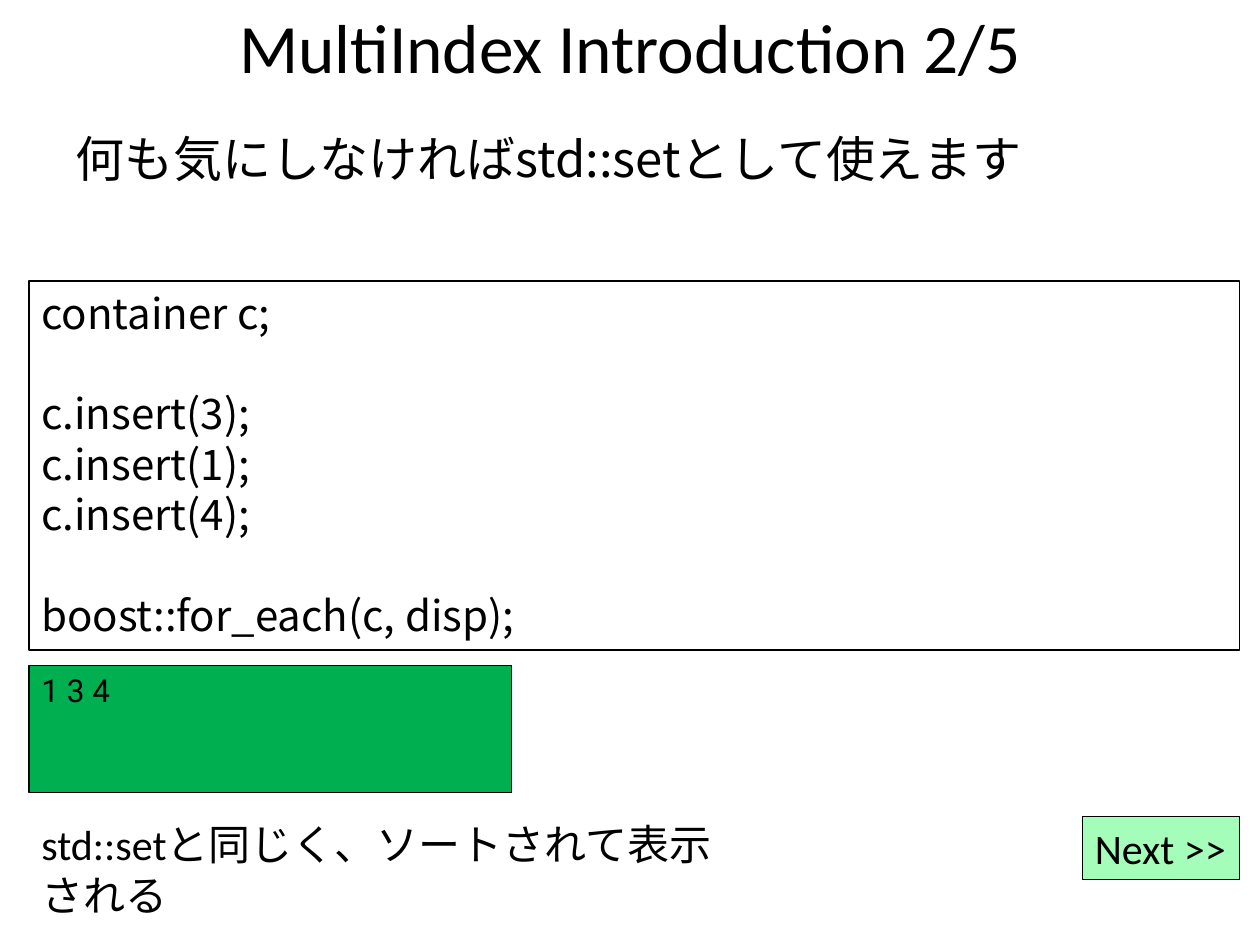
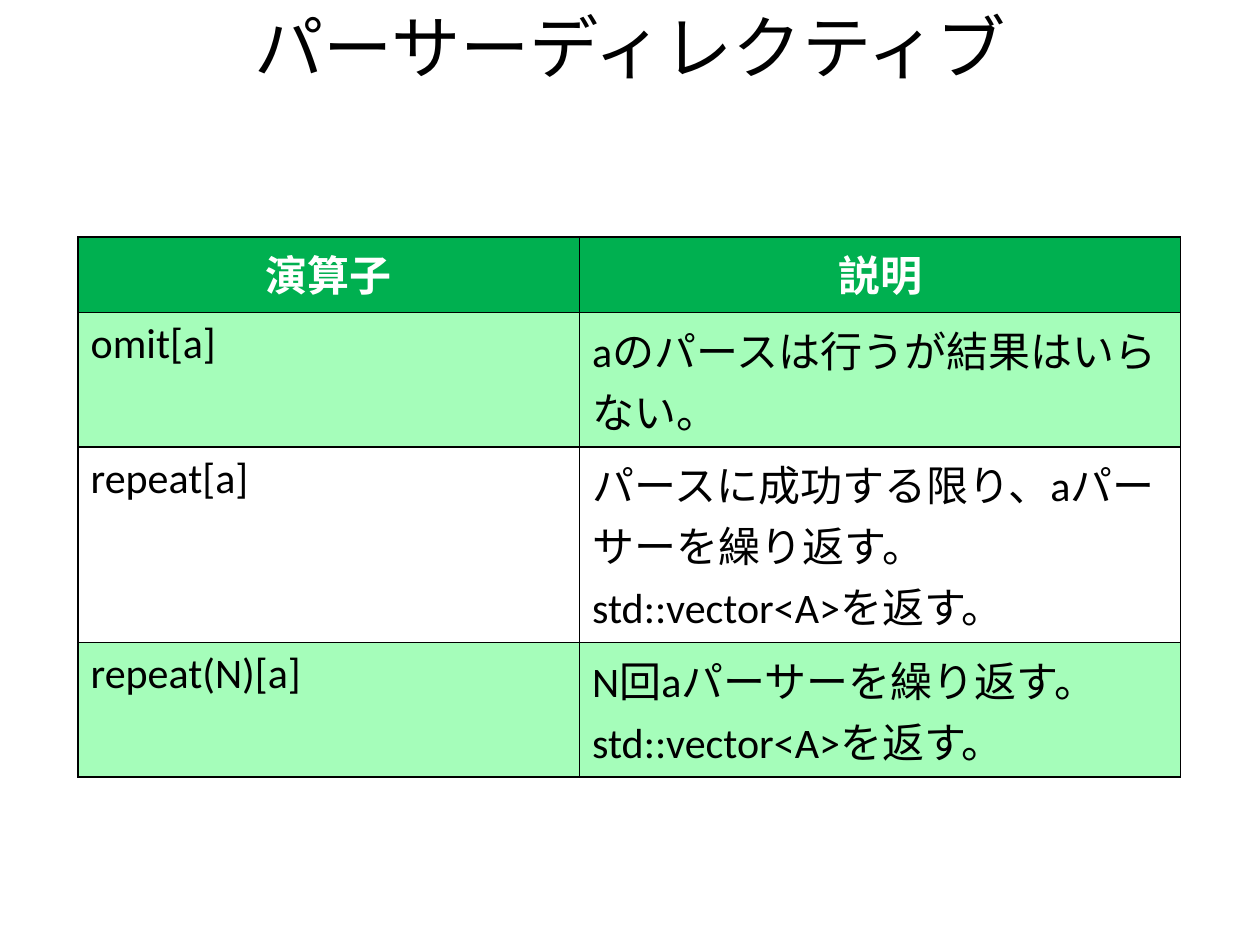
from dataclasses import dataclass

from lxml.etree import SubElement
from pptx import Presentation
from pptx.dml.color import RGBColor as Color
from pptx.enum.shapes import MSO_SHAPE as Shape
from pptx.enum.text import MSO_ANCHOR as Anchor, MSO_AUTO_SIZE as Fit, PP_ALIGN as Align
from pptx.oxml.ns import qn
from pptx.util import Inches, Pt


@dataclass(frozen=True)
class Theme:
    ink: Color = Color(0, 0, 0)
    paper: Color = Color(255, 255, 255)
    green: Color = Color(0x00, 0xB0, 0x50)
    mint: Color = Color(0xA5, 0xFD, 0xBA)
    latin: str = "Calibri"
    japanese: str = "Noto Sans CJK JP"
    output: str = "Roboto"
    title: float = 39.6
    lead: float = 28
    text: float = 24
    small: float = 18
    tight: float = 28.8
    outline: float = 0.75
    border: float = 1


THEME = Theme()
WIDTH, HEIGHT = Inches(10), Inches(7.5)
COLUMNS, ROWS = 100, 75
LEFT_EDGE = 2.3
RIGHT_EDGE = 98.4

CODE = [
    ["container c;"],
    ["c.insert(3);", "c.insert(1);", "c.insert(4);"],
    ["boost::for_each(c, disp);"],
]
DIRECTIVES = [
    ("演算子", "説明"),
    ("omit[a]", "aのパースは行うが結果はいらない。"),
    ("repeat[a]", "パースに成功する限り、aパーサーを繰り返す。\nstd::vector<A>を返す。"),
    ("repeat(N)[a]", "N回aパーサーを繰り返す。\nstd::vector<A>を返す。"),
]


def apply(target, values):
    for name, value in values.items():
        setattr(target, name, value)


def across(count):
    return round(WIDTH * count / COLUMNS)


def down(count):
    return round(HEIGHT * count / ROWS)


def area(left, top, width, height):
    return across(left), down(top), across(width), down(height)


def write(frame, lines, size=THEME.text, face=THEME.latin, color=THEME.ink,
          bold=False, **layout):
    for index, line in enumerate(lines):
        para = frame.paragraphs[0] if index == 0 else frame.add_paragraph()
        apply(para, {"alignment": Align.LEFT, **layout})
        span = para.add_run()
        span.text = line
        apply(span.font, {"size": Pt(size), "name": face, "bold": bold})
        span.font.color.rgb = color
        SubElement(span.font._element, qn("a:ea"), typeface=THEME.japanese)


def add_page(deck, title):
    page = deck.slides.add_slide(deck.slide_layouts[5])
    box = page.shapes.title
    apply(box, dict(zip(("left", "top", "width", "height"), area(5, 0, 90, 7.2))))
    apply(box.text_frame, {"auto_size": Fit.NONE, "word_wrap": True,
                           "vertical_anchor": Anchor.MIDDLE})
    write(box.text_frame, [title], THEME.title, alignment=Align.CENTER)
    return page


def add_text(page, place, text, **style):
    frame = page.shapes.add_textbox(*place).text_frame
    frame.word_wrap = True
    write(frame, [text], **style)


def add_panel(page, place, lines, fill=None, wrap=True, **style):
    box = page.shapes.add_shape(Shape.RECTANGLE, *place)
    box.shadow.inherit = False
    paint(box.fill, fill)
    box.line.color.rgb = THEME.ink
    box.line.width = Pt(THEME.outline)
    apply(box.text_frame, {"word_wrap": wrap, "vertical_anchor": Anchor.TOP})
    write(box.text_frame, lines, **style)
    return box


def paint(fill, color):
    if color is None:
        fill.background()
    else:
        fill.solid()
        fill.fore_color.rgb = color


def add_code(page, place, groups):
    lines = [line for group in groups for line in group]
    box = add_panel(page, place, lines, face=THEME.japanese,
                    line_spacing=Pt(THEME.tight))
    start = 0
    for group in groups[:-1]:
        start += len(group)
        box.text_frame.paragraphs[start].space_before = Pt(THEME.tight)


def add_borders(cell):
    properties = cell._tc.get_or_add_tcPr()
    for index, side in enumerate(("lnL", "lnR", "lnT", "lnB")):
        line = properties.makeelement(qn(f"a:{side}"), {"w": str(Pt(THEME.border))})
        SubElement(SubElement(line, qn("a:solidFill")), qn("a:srgbClr"),
                   val=str(THEME.ink))
        properties.insert(index, line)


def add_grid(page, left, top, widths, row_height, records):
    place = area(left, top, sum(widths), row_height * len(records))
    table = page.shapes.add_table(len(records), len(widths), *place).table
    table.horz_banding = False
    for column, width in zip(table.columns, widths):
        column.width = across(width)
    for row, record in enumerate(records):
        header = row == 0
        style = {"color": THEME.paper, "bold": True,
                 "alignment": Align.CENTER} if header else {}
        fill = THEME.green if header else THEME.mint if row % 2 else None
        for column, text in enumerate(record):
            cell = table.cell(row, column)
            paint(cell.fill, fill)
            add_borders(cell)
            write(cell.text_frame, text.split("\n"), **style)


def build_introduction(deck):
    page = add_page(deck, "MultiIndex Introduction 2/5")
    add_text(page, area(5, 9.7, 90, 6.7), "何も気にしなければstd::setとして使えます",
             size=THEME.lead, face=THEME.japanese)
    add_code(page, area(LEFT_EDGE, 22.3, RIGHT_EDGE - LEFT_EDGE, 29.3), CODE)
    next_width = 12.5
    add_panel(page, area(RIGHT_EDGE - next_width, 64.8, next_width, 5),
              ["Next >>"], fill=THEME.mint, wrap=False)
    add_panel(page, area(LEFT_EDGE, 52.8, 38.3, 10.1), ["1 3 4"],
              fill=THEME.green, size=THEME.small, face=THEME.output)
    add_text(page, area(LEFT_EDGE, 64.5, 57.5, 5),
             "std::setと同じく、ソートされて表示される", line_spacing=Pt(THEME.tight))


def build_directives(deck):
    page = add_page(deck, "パーサーディレクティブ")
    add_grid(page, 6.2, 18.8, (39.8, 47.7), 6, DIRECTIVES)


def main():
    deck = Presentation()
    apply(deck, {"slide_width": WIDTH, "slide_height": HEIGHT})
    build_introduction(deck)
    build_directives(deck)
    deck.save("out.pptx")


if __name__ == "__main__":
    main()
